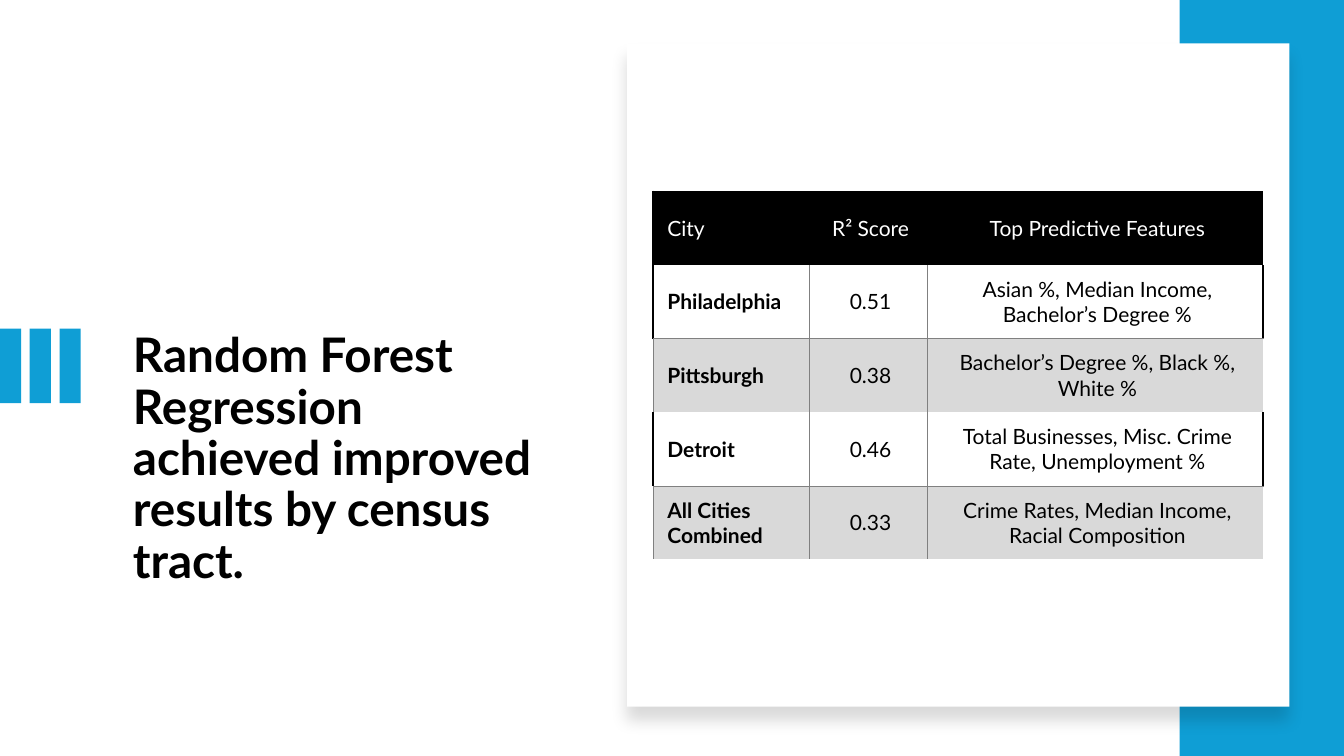
from dataclasses import dataclass
from typing import Any

from lxml import etree
from pptx import Presentation, util as u
from pptx.dml.color import RGBColor
from pptx.enum import shapes, text
from pptx.oxml import ns


@dataclass(frozen=True)
class Theme:
    font: str = "Lato"
    blue: str = "0F9ED5"
    black: str = "000000"
    white: str = "FFFFFF"
    band: str = "D9D9D9"
    rule: str = "808080"
    title: int = 34
    body: int = 15
    thick: float = 1.5
    thin: float = 0.5


@dataclass(frozen=True)
class Block:
    left: float
    top: float
    width: float
    height: float
    fill: str
    shadow: bool = False


@dataclass(frozen=True)
class Edge:
    color: str
    width: float


THEME = Theme()
TITLE = "Random Forest Regression achieved improved results by census tract."
BARS = [Block(0.295 * i, 3.26, 0.21, 0.74, THEME.blue) for i in range(3)]
STRIP = Block(11.7, 0, 1.63, 7.5, THEME.blue)
PANEL = Block(6.22, 0.43, 6.57, 6.58, THEME.white, True)
COLS = [1.55, 1.17, 3.33]
ROW = 0.73
ROWS = [
    ("City", "R² Score", "Top Predictive Features"),
    ("Philadelphia", "0.51", "Asian %, Median Income, Bachelor’s Degree %"),
    ("Pittsburgh", "0.38", "Bachelor’s Degree %, Black %, White %"),
    ("Detroit", "0.46", "Total Businesses, Misc. Crime Rate, Unemployment %"),
    ("All Cities Combined", "0.33",
     "Crime Rates, Median Income, Racial Composition"),
]
HEAVY = Edge(THEME.black, THEME.thick)
LIGHT = Edge(THEME.rule, THEME.thin)


def apply(target: Any, values: dict[str, Any]) -> None:
    for name, value in values.items():
        setattr(target, name, value)


def add_node(parent: Any, tag: str, **attrs: Any) -> Any:
    values = {key: str(value) for key, value in attrs.items()}
    return etree.SubElement(parent, ns.qn(tag), values)


def style_font(font: Any, size: int, color: str, bold: bool) -> None:
    apply(font, {"name": THEME.font, "size": u.Pt(size), "bold": bold})
    font.color.rgb = RGBColor.from_string(color)


def paint(target: Any, color: str | None) -> None:
    if color is None:
        target.fill.background()
        return
    target.fill.solid()
    target.fill.fore_color.rgb = RGBColor.from_string(color)


def cast_shadow(shape: Any) -> None:
    effects = shape._element.spPr.find(ns.qn("a:effectLst"))
    outer = add_node(effects, "a:outerShdw", blurRad=u.Pt(11), dist=u.Pt(10),
                     dir=90 * 60000, algn="t", rotWithShape=0)
    color = add_node(outer, "a:srgbClr", val=THEME.black)
    add_node(color, "a:alpha", val=15000)


def draw_block(tree: Any, block: Block) -> None:
    shape = tree.add_shape(
        shapes.MSO_SHAPE.RECTANGLE, u.Inches(block.left), u.Inches(block.top),
        u.Inches(block.width), u.Inches(block.height))
    shape.shadow.inherit = False
    paint(shape, block.fill)
    shape.line.fill.background()
    if block.shadow:
        cast_shadow(shape)


def draw_title(tree: Any) -> None:
    box = tree.add_textbox(u.Inches(1.22), u.Inches(3.24),
                           u.Inches(4.41), u.Inches(2.61))
    box.text_frame.word_wrap = True
    para = box.text_frame.paragraphs[0]
    apply(para, {"text": TITLE, "line_spacing": 0.9, "space_after": u.Pt(6)})
    style_font(para.font, THEME.title, THEME.black, True)


def find_edges(row: int, col: int) -> dict[str, Edge | None]:
    """Give the four borders of a cell; white rows have heavy outer sides."""
    first, last = col == 0, col == len(COLS) - 1
    if row == 0:
        return {"L": HEAVY if first else None, "R": None,
                "T": HEAVY, "B": None}
    plain = row % 2 == 1
    return {
        "L": HEAVY if first and plain else LIGHT,
        "R": (HEAVY if plain else None) if last else LIGHT,
        "T": None if plain else LIGHT,
        "B": LIGHT if plain else None,
    }


def draw_edges(cell: Any, edges: dict[str, Edge | None]) -> None:
    props = cell._tc.get_or_add_tcPr()
    for side, edge in edges.items():
        if edge is None:
            add_node(add_node(props, f"a:ln{side}", w=0), "a:noFill")
        else:
            line = add_node(props, f"a:ln{side}", w=u.Pt(edge.width))
            fill = add_node(line, "a:solidFill")
            add_node(fill, "a:srgbClr", val=edge.color)


def fill_cell(cell: Any, row: int, col: int) -> None:
    head = row == 0
    apply(cell, {
        "text": ROWS[row][col],
        "vertical_anchor": text.MSO_ANCHOR.MIDDLE,
        "margin_left": u.Inches(0.14),
        "margin_right": u.Inches(0.1),
        "margin_top": u.Inches(0.1),
        "margin_bottom": u.Inches(0.1),
    })
    para = cell.text_frame.paragraphs[0]
    para.alignment = text.PP_ALIGN.CENTER if col else text.PP_ALIGN.LEFT
    style_font(para.font, THEME.body, THEME.white if head else THEME.black,
               col == 0 and not head)
    draw_edges(cell, find_edges(row, col))
    paint(cell, THEME.black if head else None if row % 2 else THEME.band)


def draw_table(tree: Any) -> None:
    frame = tree.add_table(len(ROWS), len(COLS), u.Inches(6.48), u.Inches(1.9),
                           u.Inches(sum(COLS)), u.Inches(ROW * len(ROWS)))
    table = frame.table
    apply(table, {"first_row": False, "horz_banding": False})
    for col, width in zip(table.columns, COLS):
        col.width = u.Inches(width)
    for i, row in enumerate(table.rows):
        row.height = u.Inches(ROW)
        for j, cell in enumerate(row.cells):
            fill_cell(cell, i, j)


def main() -> None:
    deck = Presentation()
    apply(deck, {"slide_width": u.Inches(13.33),
                 "slide_height": u.Inches(7.5)})
    tree = deck.slides.add_slide(deck.slide_layouts[6]).shapes
    draw_title(tree)
    group = tree.add_group_shape()
    for bar in BARS:
        draw_block(group.shapes, bar)
    for block in (STRIP, PANEL):
        draw_block(tree, block)
    draw_table(tree)
    deck.save("out.pptx")


if __name__ == "__main__":
    main()
